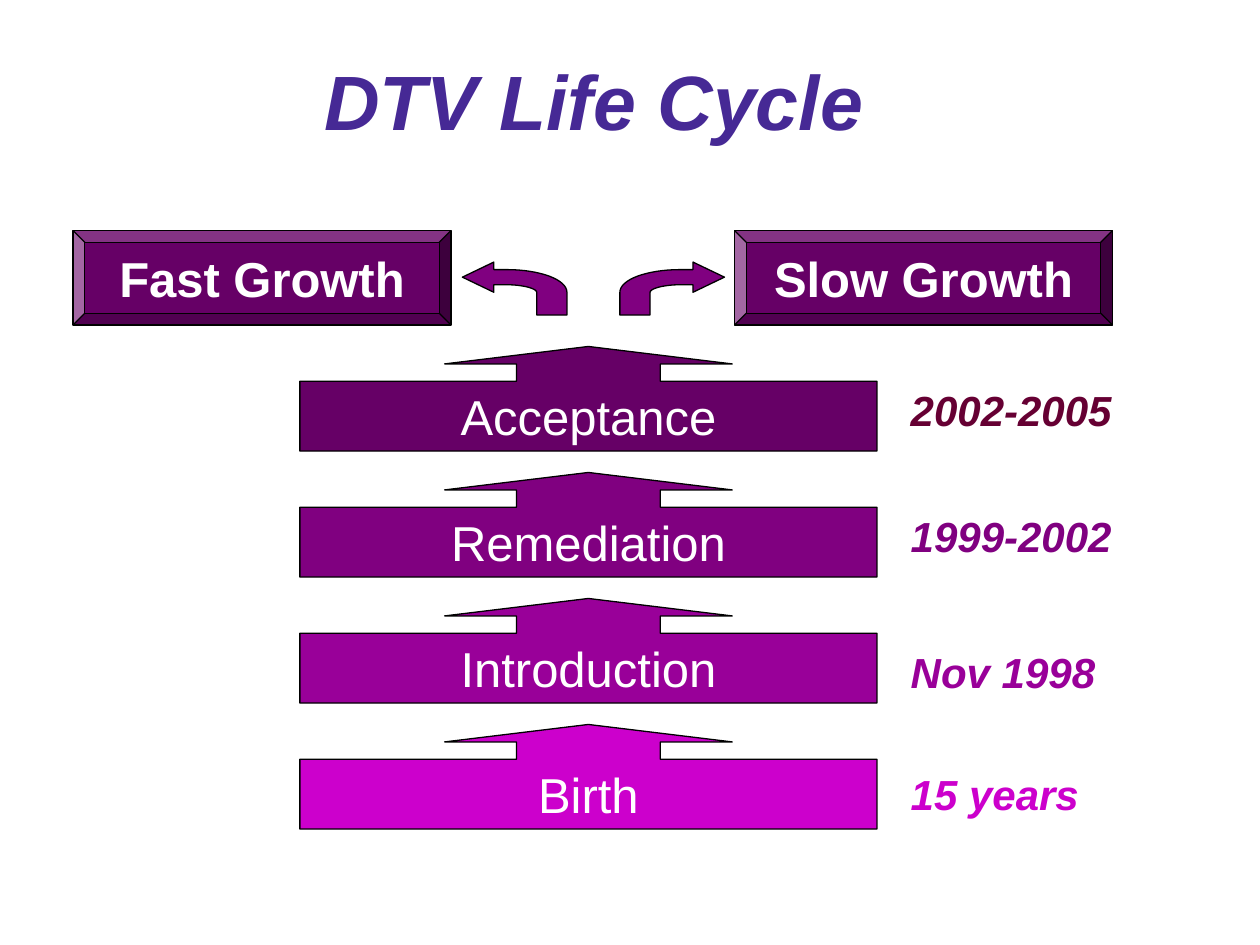
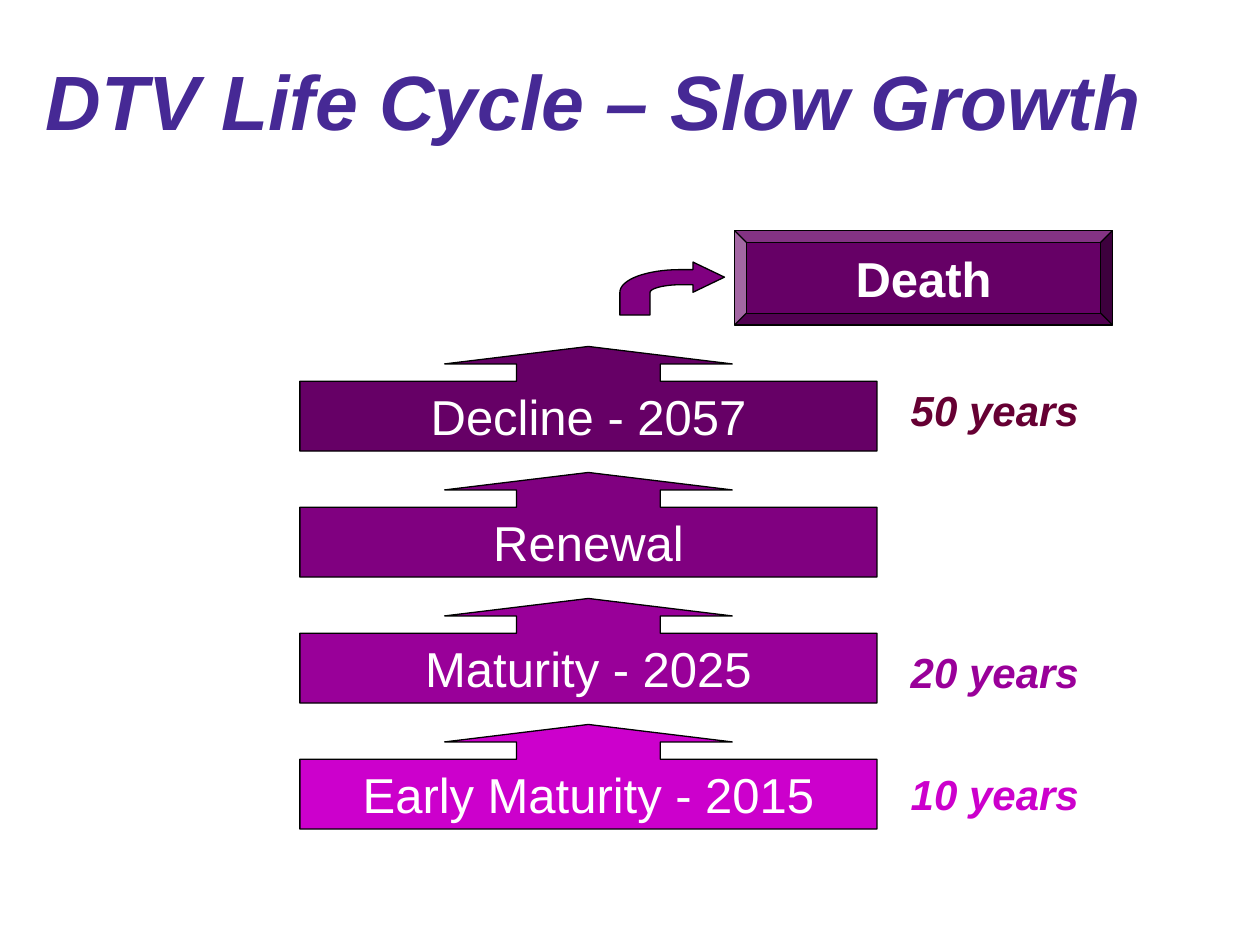
from pptx import Presentation
from pptx.dml.color import RGBColor
from pptx.enum.shapes import MSO_SHAPE
from pptx.enum.text import MSO_ANCHOR, MSO_AUTO_SIZE, PP_ALIGN
from pptx.util import Inches, Pt

FONT = "Arial"
COLORS = {
    "title": "462995",
    "outline": "000000",
    "label": "FFFFFF",
    "outcome": "660066",
    "turn": "800080",
}
STAGE_FILLS = ["660066", "800080", "990099", "CC00CC"]
PERIOD_COLORS = ["660033", "800080", "990099", "CC00CC"]
PERIOD_TOPS = [3, 4, 5.08, 6.05]
STAGE_TOP, STAGE_PITCH = 2.75, 1
FAST_LEFT, SLOW_LEFT = 0.58, 5.83
FAST_TURN, SLOW_TURN = (4.5, -1), (4.92, 1)

LIFE_CYCLE = [
    ("Acceptance", "2002-2005"),
    ("Remediation", "1999-2002"),
    ("Introduction", "Nov 1998"),
    ("Birth", "15 years"),
]
SLOW_GROWTH = [
    ("Decline - 2057", "50 years"),
    ("Renewal", None),
    ("Maturity - 2025", "20 years"),
    ("Early Maturity - 2015", "10 years"),
]


def write(frame, text, size, color, bold=False, italic=False, align=PP_ALIGN.CENTER):
    frame.text = text
    paragraph = frame.paragraphs[0]
    paragraph.alignment = align
    font = paragraph.runs[0].font
    font.name, font.size = FONT, Pt(size)
    font.bold, font.italic = bold, italic
    font.color.rgb = RGBColor.from_string(color)


def paint(shape, fill):
    shape.shadow.inherit = False
    shape.fill.solid()
    shape.fill.fore_color.rgb = RGBColor.from_string(fill)
    shape.line.color.rgb = RGBColor.from_string(COLORS["outline"])
    shape.line.width = Pt(0.75)


def set_title(slide, text):
    title = slide.shapes.title
    title.left, title.top = Inches(-0.12), Inches(0.17)
    title.width, title.height = Inches(9.67), Inches(1.25)
    frame = title.text_frame
    frame.auto_size = MSO_AUTO_SIZE.NONE
    frame.vertical_anchor = MSO_ANCHOR.MIDDLE
    write(frame, text, 44, COLORS["title"], bold=True, italic=True)


def add_stage(slide, name, top, fill):
    stage = slide.shapes.add_shape(
        MSO_SHAPE.UP_ARROW_CALLOUT, Inches(2.38), Inches(top), Inches(4.58), Inches(0.83)
    )
    for index, value in enumerate([1.375, 1.375, 0.167, 0.667]):
        stage.adjustments[index] = value
    paint(stage, fill)
    stage.text_frame.word_wrap = False
    stage.text_frame.vertical_anchor = MSO_ANCHOR.MIDDLE
    write(stage.text_frame, name, 28, COLORS["label"])


def add_period(slide, text, top, color):
    period = slide.shapes.add_textbox(Inches(7.13), Inches(top), Inches(1.83), Inches(0.5))
    period.text_frame.word_wrap = True
    write(period.text_frame, text, 24, color, bold=True, italic=True, align=PP_ALIGN.LEFT)


def add_outcome(slide, text, left):
    outcome = slide.shapes.add_shape(
        MSO_SHAPE.BEVEL, Inches(left), Inches(1.83), Inches(3), Inches(0.75)
    )
    outcome.adjustments[0] = 0.125
    paint(outcome, COLORS["outcome"])
    outcome.text_frame.vertical_anchor = MSO_ANCHOR.MIDDLE
    write(outcome.text_frame, text, 28, COLORS["label"], bold=True)


def curve(start, control_1, control_2, end, steps=16):
    points = []
    for step in range(steps + 1):
        t = step / steps
        weights = [(1 - t) ** 3, 3 * t * (1 - t) ** 2, 3 * t**2 * (1 - t), t**3]
        corners = zip(start, control_1, control_2, end)
        points.append(tuple(sum(w * c for w, c in zip(weights, axis)) for axis in zip(*zip(*corners))))
    return points


def add_turn(slide, foot, direction):
    outer = curve((0, 0.24), (0, 0.14), (0.21, 0.06), (0.48, 0.06))
    head = [(0.58, 0.06), (0.58, 0), (0.83, 0.12), (0.58, 0.24), (0.58, 0.18)]
    inner = curve((0.48, 0.18), (0.35, 0.18), (0.24, 0.21), (0.24, 0.24))
    outline = [(0, 0.42), *outer, *head, *inner, (0.24, 0.42)]
    points = [(Inches(foot + direction * x), Inches(2.08 + y)) for x, y in outline]
    builder = slide.shapes.build_freeform(*points[0])
    builder.add_line_segments(points[1:], close=True)
    paint(builder.convert_to_shape(), COLORS["turn"])


def add_cycle_slide(deck, title, stages, outcomes):
    slide = deck.slides.add_slide(deck.slide_layouts[5])
    set_title(slide, title)
    for row, (name, period) in enumerate(stages):
        add_stage(slide, name, STAGE_TOP + row * STAGE_PITCH, STAGE_FILLS[row])
        if period:
            add_period(slide, period, PERIOD_TOPS[row], PERIOD_COLORS[row])
    for text, left, turn in outcomes:
        add_outcome(slide, text, left)
        add_turn(slide, *turn)


def main():
    deck = Presentation()
    deck.slide_width, deck.slide_height = Inches(10), Inches(7.5)
    add_cycle_slide(
        deck,
        "DTV Life Cycle",
        LIFE_CYCLE,
        [("Slow Growth", SLOW_LEFT, SLOW_TURN), ("Fast Growth", FAST_LEFT, FAST_TURN)],
    )
    add_cycle_slide(
        deck,
        "DTV Life Cycle – Slow Growth",
        SLOW_GROWTH,
        [("Death", SLOW_LEFT, SLOW_TURN)],
    )
    deck.save("out.pptx")


if __name__ == "__main__":
    main()
